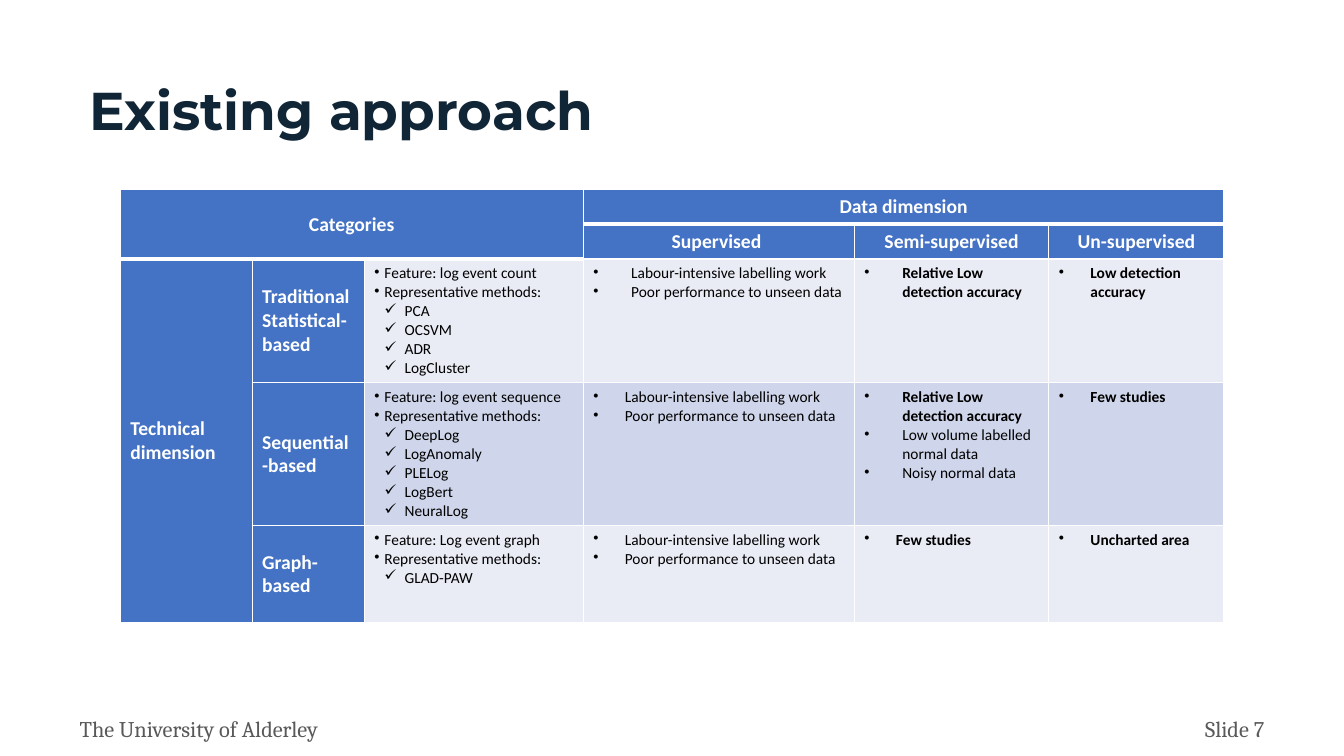
from dataclasses import dataclass

from lxml.etree import SubElement
from pptx import Presentation
from pptx.dml.color import RGBColor
from pptx.enum.text import MSO_ANCHOR, PP_ALIGN
from pptx.oxml.ns import qn
from pptx.util import Pt


@dataclass(frozen=True)
class Theme:
    title: str = "102535"
    footer: str = "595959"
    header: str = "4472C4"
    light: str = "E9EBF5"
    dark: str = "CFD5EA"
    white: str = "FFFFFF"
    black: str = "000000"
    title_size: float = 38
    footer_size: float = 16
    header_size: float = 14
    body_size: float = 11
    title_font: str = "Montserrat"
    footer_font: str = "Cambria"
    table_font: str = "Calibri"
    thin: float = 1
    thick: float = 3


class SlideBuilder:
    """Draws styled elements on the current slide."""

    def __init__(self, prs, theme):
        self.s = prs.slides.add_slide(prs.slide_layouts[6])
        self.theme = theme

    def run(self, p, text, font, size, color, bold=False):
        r = p.add_run()
        r.text = text
        r.font.name = font
        r.font.size = Pt(size)
        r.font.bold = bold
        r.font.color.rgb = RGBColor.from_string(color)

    def text(self, box, inset, text, font, size, color,
             bold=False, align=PP_ALIGN.LEFT, spacing=1.0):
        sp = self.s.shapes.add_textbox(*map(Pt, box))
        tf = sp.text_frame
        tf.word_wrap = True
        tf.margin_left = tf.margin_right = Pt(inset[0])
        tf.margin_top = tf.margin_bottom = Pt(inset[1])
        p = tf.paragraphs[0]
        p.alignment = align
        p.line_spacing = spacing
        self.run(p, text, font, size, color, bold)

    def table(self, left, top, widths, heights):
        sp = self.s.shapes.add_table(len(heights), len(widths), Pt(left), Pt(top),
                                     Pt(sum(widths)), Pt(sum(heights)))
        tbl = sp.table
        tbl.first_row = tbl.horz_banding = False
        for col, width in zip(tbl.columns, widths):
            col.width = Pt(width)
        for row, height in zip(tbl.rows, heights):
            row.height = Pt(height)
        return tbl

    def cell(self, cell, fill, top, bottom):
        t = self.theme
        tc_pr = cell._tc.get_or_add_tcPr()
        for side, width in zip("LRTB", (t.thin, t.thin, top, bottom)):
            ln = SubElement(tc_pr, qn(f"a:ln{side}"), w=str(Pt(width)))
            SubElement(SubElement(ln, qn("a:solidFill")), qn("a:srgbClr"), val=t.white)
        cell.fill.solid()
        cell.fill.fore_color.rgb = RGBColor.from_string(fill)

    def label(self, cell, text, align=PP_ALIGN.LEFT):
        t = self.theme
        cell.vertical_anchor = MSO_ANCHOR.MIDDLE
        p = cell.text_frame.paragraphs[0]
        p.alignment = align
        self.run(p, text, t.table_font, t.header_size, t.white, True)

    def bullets(self, cell, items):
        t = self.theme
        tf = cell.text_frame
        for i, (text, style, bold) in enumerate(items):
            p = tf.add_paragraph() if i else tf.paragraphs[0]
            mark, level, margin, hang = style
            p.level = level
            p_pr = p._p.get_or_add_pPr()
            p_pr.set("marL", str(Pt(margin)))
            p_pr.set("indent", str(-Pt(hang)))
            SubElement(p_pr, qn("a:buChar"), char=mark)
            self.run(p, text, t.table_font, t.body_size, t.black, bold)


FEATURE = ("•", 0, 7.2, 7.2)
METHOD = ("✓", 1, 21.6, 14.4)
WIDE = ("•", 0, 27, 27)
NARROW = ("•", 0, 22.5, 22.5)

COLUMN_WIDTHS = (94.3, 80.2, 156.5, 193.8, 139, 125.2)
ROW_HEIGHTS = (24.5, 25, 88.5, 102, 69.5)
LEARNING = ("Supervised ", "Semi-supervised", "Un-supervised")
LOW_ACCURACY = ("Relative Low detection accuracy", WIDE, True)

APPROACHES = (
    ("Traditional Statistical-based", "log event count",
     ("PCA", "OCSVM", "ADR", "LogCluster"), WIDE,
     [LOW_ACCURACY],
     [("Low detection accuracy", NARROW, True)]),
    ("Sequential-based", "log event sequence",
     ("DeepLog", "LogAnomaly", "PLELog", "LogBert", "NeuralLog"), NARROW,
     [LOW_ACCURACY,
      ("Low volume labelled normal data", WIDE, False),
      ("Noisy normal data", WIDE, False)],
     [("Few studies", NARROW, True)]),
    ("Graph-based", "Log event graph",
     ("GLAD-PAW",), NARROW,
     [("Few studies", NARROW, True)],
     [("Uncharted area", NARROW, True)]),
)


def approach_table(b):
    t = b.theme
    tbl = b.table(85.9, 135.5, COLUMN_WIDTHS, ROW_HEIGHTS)
    for row in range(len(ROW_HEIGHTS)):
        for col in range(len(COLUMN_WIDTHS)):
            header_end = 1 if col < 3 else 0
            band = t.dark if row == 3 else t.light
            b.cell(tbl.cell(row, col),
                   t.header if row < 2 or col < 2 else band,
                   t.thick if row == header_end + 1 else t.thin,
                   t.thick if row <= header_end else t.thin)

    tbl.cell(0, 0).merge(tbl.cell(1, 2))
    tbl.cell(0, 3).merge(tbl.cell(0, 5))
    tbl.cell(2, 0).merge(tbl.cell(4, 0))
    b.label(tbl.cell(0, 0), "Categories", PP_ALIGN.CENTER)
    b.label(tbl.cell(0, 3), "Data dimension", PP_ALIGN.CENTER)
    b.label(tbl.cell(2, 0), "Technical dimension")
    for col, name in enumerate(LEARNING, 3):
        b.label(tbl.cell(1, col), name, PP_ALIGN.CENTER)

    for row, (name, feature, methods, style, semi, unsupervised) in enumerate(APPROACHES, 2):
        b.label(tbl.cell(row, 1), name)
        summary = [(f"Feature: {feature}", FEATURE, False),
                   ("Representative methods:", FEATURE, False)]
        summary += [(method, METHOD, False) for method in methods]
        supervised = [("Labour-intensive labelling work", style, False),
                      ("Poor performance to unseen data", style, False)]
        for col, items in enumerate((summary, supervised, semi, unsupervised), 2):
            b.bullets(tbl.cell(row, col), items)


def main():
    prs = Presentation()
    prs.slide_width, prs.slide_height = Pt(960.48), Pt(540)
    t = Theme()
    b = SlideBuilder(prs, t)
    footer = (t.footer_font, t.footer_size, t.footer)
    b.text((56.9, 510.5, 378, 14.4), (0, 0), "The University of Alderley", *footer)
    b.text((714.2, 510.5, 189.4, 14.4), (0, 0), "Slide 7", *footer, align=PP_ALIGN.RIGHT)
    b.text((56.9, 56.9, 846.7, 85), (7.2, 3.6), "Existing approach",
           t.title_font, t.title_size, t.title, bold=True, spacing=0.9)
    approach_table(b)
    prs.save("out.pptx")


if __name__ == "__main__":
    main()
